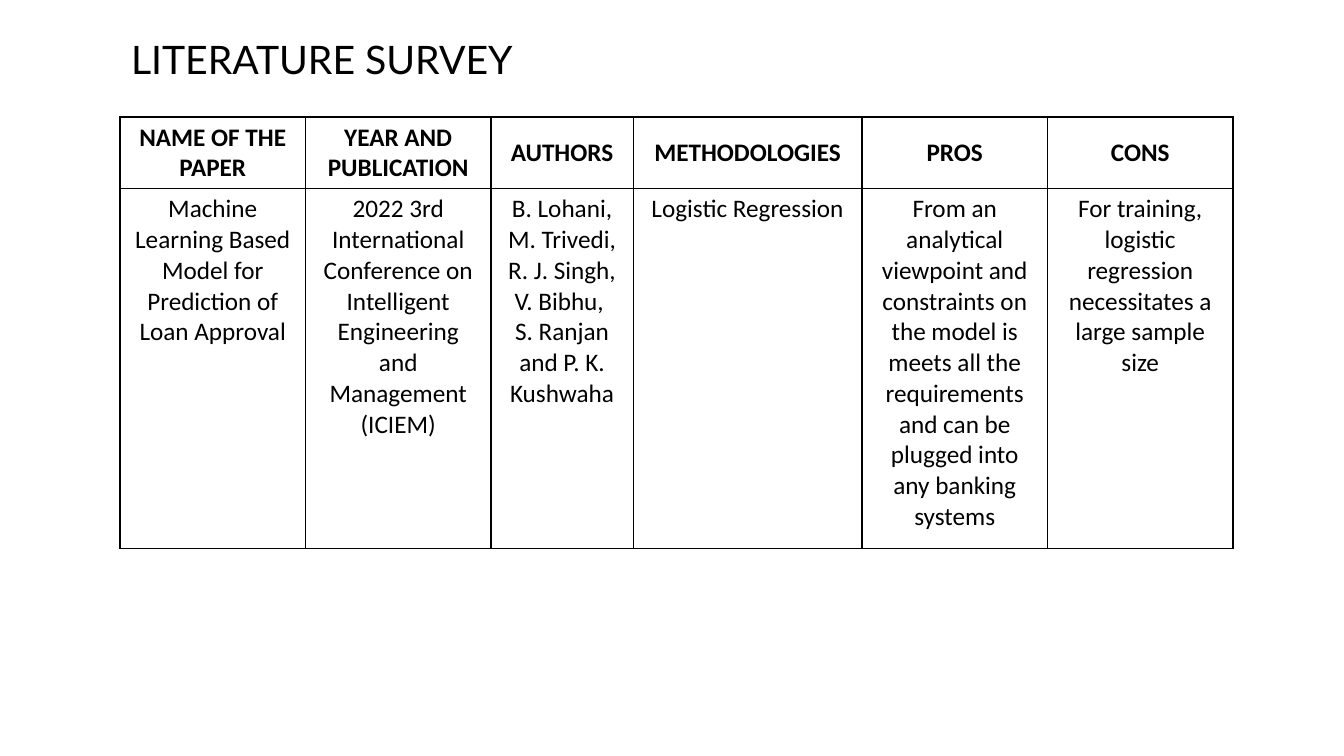
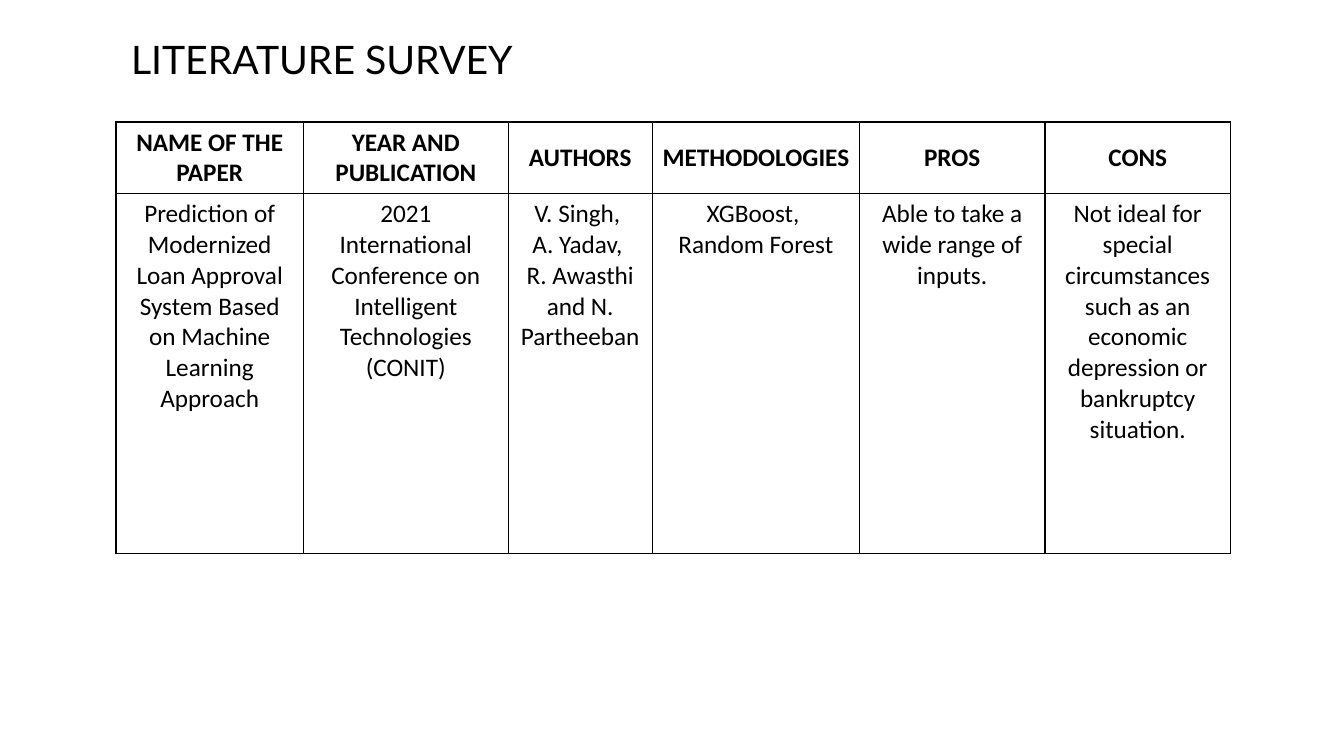
from lxml.etree import SubElement
from pptx import Presentation
from pptx.dml.color import RGBColor
from pptx.enum.text import MSO_ANCHOR, PP_ALIGN
from pptx.oxml import parse_xml
from pptx.oxml.ns import nsdecls, qn
from pptx.util import Inches, Pt

BLACK = RGBColor(0x00, 0x00, 0x00)
WHITE = RGBColor(0xFF, 0xFF, 0xFF)
TITLE_FONT = "Lato"
TABLE_FONT = "Calibri"
TITLE_ONLY = 5

TITLE = "LITERATURE SURVEY"
HEADINGS = ["NAME OF THE PAPER", "YEAR AND PUBLICATION", "AUTHORS",
            "METHODOLOGIES", "PROS", "CONS"]

# One survey per slide; places and widths are percentages of the slide's size
SURVEYS = [
    {
        "left": 8.93, "top": 15.47,
        "widths": [13.8, 13.8, 10.58, 17.03, 13.8, 13.8],
        "entry": [
            "Machine Learning Based Model for Prediction of Loan Approval",
            "2022 3rd International Conference on Intelligent Engineering "
            "and Management (ICIEM)",
            "B. Lohani,\nM. Trivedi, R. J. Singh, V. Bibhu, \n"
            "S. Ranjan and P. K. Kushwaha",
            "Logistic Regression",
            "From an analytical viewpoint and constraints on the model is meets "
            "all the requirements and can be plugged into any banking systems",
            "For training, logistic regression necessitates a large sample size",
        ],
    },
    {
        "left": 8.63, "top": 16.13,
        "widths": [13.95, 15.23, 10.73, 15.42, 13.8, 13.8],
        "entry": [
            "Prediction of Modernized Loan Approval System Based on Machine "
            "Learning Approach",
            "2021 International Conference on Intelligent Technologies (CONIT)",
            "V. Singh, \nA. Yadav, \nR. Awasthi and N. Partheeban",
            "XGBoost, \nRandom Forest",
            "Able to take a wide range of inputs.",
            "Not ideal for special circumstances such as an economic depression "
            "or bankruptcy situation.",
        ],
    },
]


def write_text(text_frame, text, font=TABLE_FONT, size=18, bold=False,
               color=BLACK, align=PP_ALIGN.CENTER, line_spacing=None):
    """Write one paragraph per line of text, all in the same format."""
    text_frame.text = text
    for paragraph in text_frame.paragraphs:
        paragraph.alignment = align
        paragraph.line_spacing = line_spacing
        for run in paragraph.runs:
            run.font.name = font
            run.font.size = Pt(size)
            run.font.bold = bold
            run.font.color.rgb = color


class SurveyDeck:
    """Holds the style and the current slide."""

    row_heights = [9.5, 47.6]
    border_width = Pt(1)

    def __init__(self):
        self.presentation = Presentation()
        self.presentation.slide_width = Inches(13.33)
        self.presentation.slide_height = Inches(7.5)
        self.slide = None

    def across(self, percent):
        return round(self.presentation.slide_width * percent / 100)

    def down(self, percent):
        return round(self.presentation.slide_height * percent / 100)

    def add_slide(self):
        layout = self.presentation.slide_layouts[TITLE_ONLY]
        self.slide = self.presentation.slides.add_slide(layout)

    def add_title(self, text):
        title = self.slide.shapes.title
        title.left, title.top = self.across(9), self.down(0.13)
        title.width, title.height = self.across(82.5), self.down(16.13)
        title.text_frame.vertical_anchor = MSO_ANCHOR.MIDDLE
        write_text(title.text_frame, text, font=TITLE_FONT, size=28,
                   align=PP_ALIGN.LEFT, line_spacing=0.9)

    def add_table(self, rows, left, top, widths):
        frame = self.slide.shapes.add_table(
            len(rows), len(widths), self.across(left), self.down(top),
            self.across(sum(widths)), self.down(sum(self.row_heights)))
        table = frame.table
        table.horz_banding = False
        for column, width in zip(table.columns, widths):
            column.width = self.across(width)
        for row, height in zip(table.rows, self.row_heights):
            row.height = self.down(height)
        for row_index, texts in enumerate(rows):
            for column_index, text in enumerate(texts):
                self.format_cell(table.cell(row_index, column_index), text,
                                 heading=row_index == 0)

    def format_cell(self, cell, text, heading):
        cell.fill.solid()
        cell.fill.fore_color.rgb = WHITE
        cell.vertical_anchor = MSO_ANCHOR.MIDDLE if heading else MSO_ANCHOR.TOP
        write_text(cell.text_frame, text, bold=heading)
        # Border lines come before the fill in the cell's properties
        properties = cell._tc.get_or_add_tcPr()
        for position, side in enumerate(("lnL", "lnR", "lnT", "lnB")):
            line = parse_xml(f'<a:{side} {nsdecls("a")} w="{self.border_width}"/>')
            fill = SubElement(line, qn("a:solidFill"))
            SubElement(fill, qn("a:srgbClr"), val=str(BLACK))
            properties.insert(position, line)


def main():
    deck = SurveyDeck()
    for survey in SURVEYS:
        deck.add_slide()
        deck.add_title(TITLE)
        deck.add_table([HEADINGS, survey["entry"]], survey["left"],
                       survey["top"], survey["widths"])
    deck.presentation.save("out.pptx")


if __name__ == "__main__":
    main()
